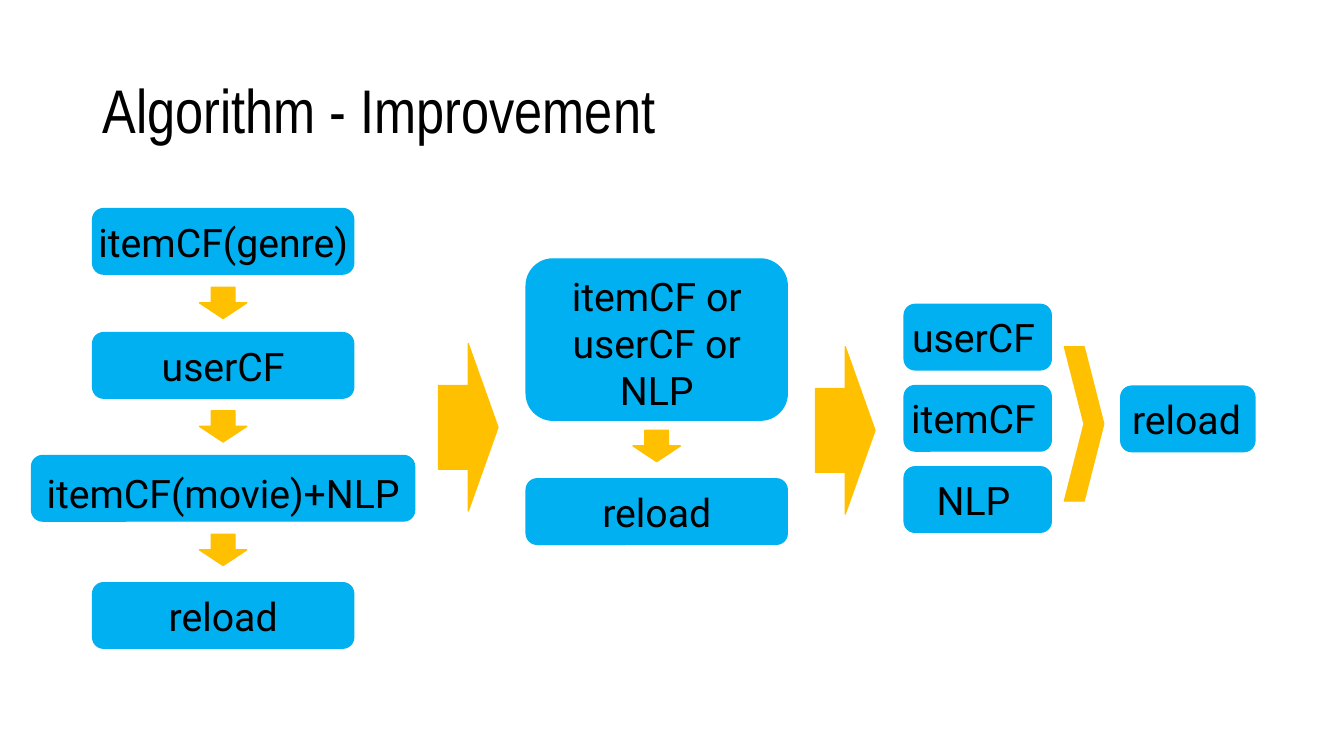
from dataclasses import dataclass

from pptx import Presentation
from pptx import util as u
from pptx.dml.color import RGBColor
from pptx.enum import shapes, text


@dataclass(frozen=True)
class Theme:
    ink: RGBColor = RGBColor(0x00, 0x00, 0x00)
    step: RGBColor = RGBColor(0x00, 0xB0, 0xF0)
    flow: RGBColor = RGBColor(0xFF, 0xC0, 0x00)
    title_font: str = "Arial Narrow"
    label_font: str = "Roboto"
    title_size: float = 44
    label_size: float = 28
    line_width: float = 1


class FlowPage:
    """Draws the title, steps and arrows of a flow on one slide, in points."""

    def __init__(self, page, theme):
        self.page = page
        self.theme = theme

    def style_text(self, frame, font, size, align):
        for para in frame.paragraphs:
            para.alignment = align
            for span in para.runs:
                span.font.name = font
                span.font.size = u.Pt(size)
                span.font.color.rgb = self.theme.ink

    def title(self, words, left, top, width, height):
        box = self.page.shapes.add_textbox(u.Pt(left), u.Pt(top), u.Pt(width), u.Pt(height))
        frame = box.text_frame
        frame.text = words
        frame.word_wrap = True
        frame.vertical_anchor = text.MSO_ANCHOR.MIDDLE
        frame.paragraphs[0].line_spacing = 0.9
        self.style_text(frame, self.theme.title_font, self.theme.title_size, text.PP_ALIGN.LEFT)

    def solid(self, kind, color, left, top, width, height):
        shape = self.page.shapes.add_shape(kind, u.Pt(left), u.Pt(top), u.Pt(width), u.Pt(height))
        shape.shadow.inherit = False
        shape.fill.solid()
        shape.fill.fore_color.rgb = color
        shape.line.color.rgb = color
        shape.line.width = u.Pt(self.theme.line_width)
        return shape

    def step(self, words, center, top, width=186.5, height=46.8, inset_top=0, inset_right=0):
        kind = shapes.MSO_SHAPE.ROUNDED_RECTANGLE
        box = self.solid(kind, self.theme.step, center - width / 2, top, width, height)
        frame = box.text_frame
        frame.text = words
        frame.word_wrap = False
        frame.vertical_anchor = text.MSO_ANCHOR.MIDDLE
        frame.margin_left = frame.margin_bottom = 0
        frame.margin_top = u.Pt(inset_top)
        frame.margin_right = u.Pt(inset_right)
        self.style_text(frame, self.theme.label_font, self.theme.label_size, text.PP_ALIGN.CENTER)

    def down_arrow(self, center, top, width=33.8, height=22.3):
        kind = shapes.MSO_SHAPE.DOWN_ARROW
        self.solid(kind, self.theme.flow, center - width / 2, top, width, height)

    def right_arrow(self, left, top):
        self.solid(shapes.MSO_SHAPE.RIGHT_ARROW, self.theme.flow, left, top, 42.5, 119.5)

    def chevron(self, left, top, width, height):
        self.solid(shapes.MSO_SHAPE.CHEVRON, self.theme.flow, left, top, width, height)


def main():
    deck = Presentation()
    deck.slide_width, deck.slide_height = u.Pt(960), u.Pt(540)
    flow = FlowPage(deck.slides.add_slide(deck.slide_layouts[6]), Theme())
    flow.title("Algorithm - Improvement", 66.2, 28.8, 828, 104.4)

    chain, choice, parallel = 159.4, 469.1, 698.4

    flow.step("itemCF(genre)", chain, 149)
    flow.step("userCF", chain, 237.6)
    flow.step("itemCF(movie)+NLP", chain, 325.4, width=273.6, inset_top=7)
    flow.step("reload", chain, 416.2)
    for index in range(3):
        flow.down_arrow(chain, 205.2 + 88.2 * index)

    flow.right_arrow(313.2, 245.5)
    flow.step("itemCF or\nuserCF or\nNLP", choice, 185, height=115.2, inset_top=5)
    flow.down_arrow(choice, 307.4)
    flow.step("reload", choice, 342)

    flow.right_arrow(582.5, 247.7)
    for index, name in enumerate(("userCF", "itemCF", "NLP")):
        flow.step(name, parallel, 217.4 + 58 * index, width=105.1, inset_right=6)
    flow.chevron(760.3, 247.7, 28.1, 110.2)
    flow.step("reload", 848.5, 275.8, width=95.8, inset_right=2)

    deck.save("out.pptx")


if __name__ == "__main__":
    main()
